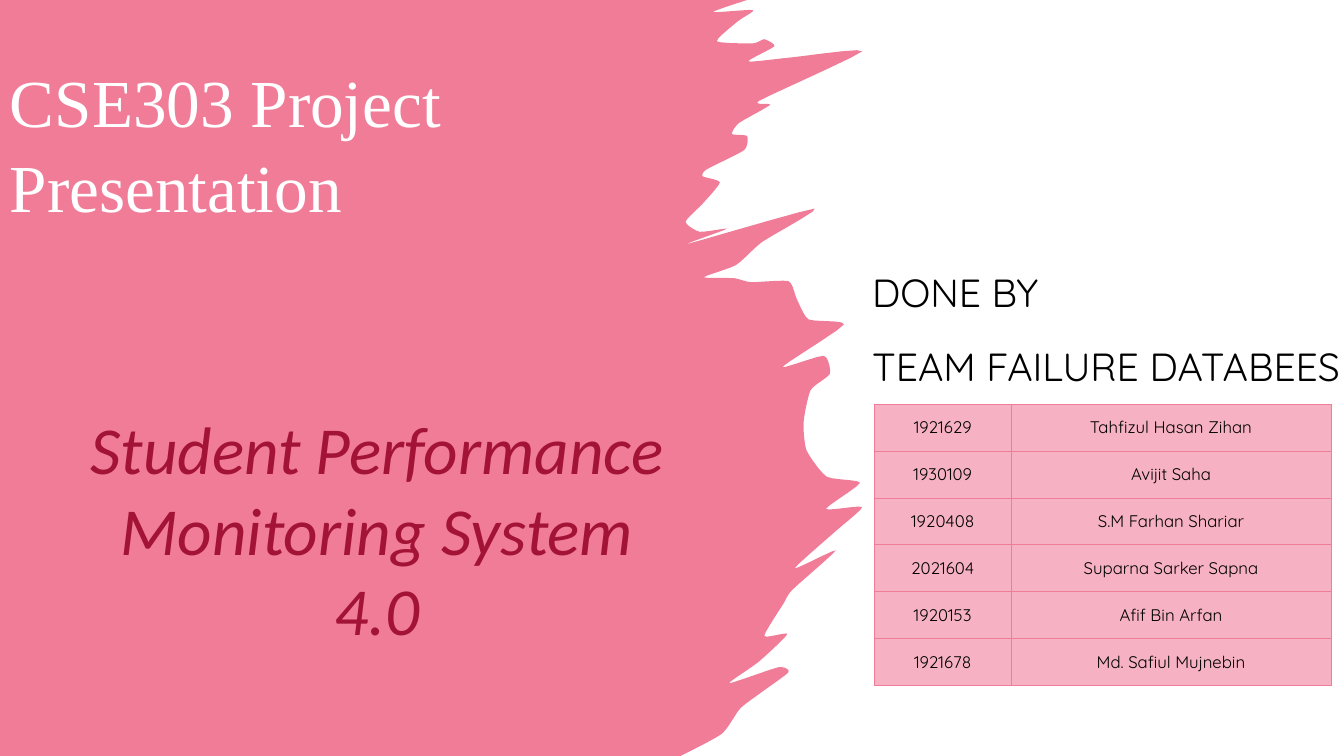
from dataclasses import dataclass
from typing import Any, Iterator

import lxml.etree
import pptx
import pptx.dml.color
import pptx.enum.text
import pptx.oxml.ns
import pptx.util

COLUMNS, ROWS = 1333, 750
WIDTH, HEIGHT = pptx.util.Inches(13.33), pptx.util.Inches(7.5)
PINK, PALE_PINK, CRIMSON, WHITE, BLACK = "F07C98", "F6B2C2", "A31336", "FFFFFF", "000000"
CURVE_STEPS = 5
TENSION = 0.1
LEFT = pptx.enum.text.PP_ALIGN.LEFT
CENTER = pptx.enum.text.PP_ALIGN.CENTER
MIDDLE = pptx.enum.text.MSO_ANCHOR.MIDDLE

BRUSH_EDGE = [
    (741, 0), (707, 12), (747, 10), (732, 21), (711, 41), (747, 43), (758, 39), (768, 46),
    (742, 61), (785, 57), (855, 51), (753, 100), (764, 104), (733, 122), (726, 133),
    (741, 135), (738, 149), (701, 168), (697, 175), (714, 181), (697, 202), (680, 220),
    (694, 230), (721, 227), (682, 242), (808, 207), (756, 240), (730, 263), (698, 275),
    (728, 276), (745, 280), (782, 279), (790, 296), (802, 317), (837, 322), (776, 364),
    (817, 353), (823, 371), (804, 387), (797, 419), (800, 447), (820, 473), (853, 479),
    (819, 505), (855, 503), (830, 526), (788, 564), (829, 546), (786, 585), (777, 599),
    (758, 631), (781, 629), (752, 657), (723, 678), (772, 662), (782, 667), (755, 687),
    (734, 703), (716, 728), (675, 750),
]

MEMBERS = [
    ("1921629", "Tahfizul Hasan Zihan"),
    ("1930109", "Avijit Saha"),
    ("1920408", "S.M Farhan Shariar"),
    ("2021604", "Suparna Sarker Sapna"),
    ("1920153", "Afif Bin Arfan"),
    ("1921678", "Md. Safiul Mujnebin"),
]


@dataclass
class Area:
    left: float
    top: float
    width: float
    height: float

    def lengths(self) -> tuple[int, int, int, int]:
        return column(self.left), row(self.top), column(self.width), row(self.height)


def column(count: float) -> int:
    return round(WIDTH * count / COLUMNS)


def row(count: float) -> int:
    return round(HEIGHT * count / ROWS)


def color(value: str) -> pptx.dml.color.RGBColor:
    return pptx.dml.color.RGBColor.from_string(value)


def place(box: Any, area: Area) -> Any:
    box.left, box.top, box.width, box.height = area.lengths()
    return box


def write(frame: Any, *lines: str, font: str, size: float, hue: str, align: Any = LEFT,
          italic: bool = False, spacing: float = 1.0, gap: float = 0) -> None:
    frame.word_wrap = True
    for index, line in enumerate(lines):
        para = frame.add_paragraph() if index else frame.paragraphs[0]
        para.text = line
        para.alignment = align
        para.line_spacing = spacing
        para.space_before = pptx.util.Pt(gap if index else 0)
        for span in para.runs:
            span.font.name = font
            span.font.size = pptx.util.Pt(size)
            span.font.italic = italic
            span.font.color.rgb = color(hue)


def write_box(box: Any, *lines: str, **format: Any) -> None:
    box.text_frame.auto_size = pptx.enum.text.MSO_AUTO_SIZE.NONE
    box.text_frame.vertical_anchor = MIDDLE
    write(box.text_frame, *lines, **format)


def blend(before: float, start: float, end: float, after: float, t: float) -> float:
    leave = start + TENSION * (end - before)
    arrive = end - TENSION * (after - start)
    u = 1 - t
    return u ** 3 * start + 3 * u * u * t * leave + 3 * u * t * t * arrive + t ** 3 * end


def smooth_edge() -> Iterator[tuple[int, int]]:
    knots = [BRUSH_EDGE[0], *BRUSH_EDGE, BRUSH_EDGE[-1]]
    for span in zip(knots, knots[1:], knots[2:], knots[3:]):
        across, down = zip(*span)
        for step in range(1, CURVE_STEPS + 1):
            t = step / CURVE_STEPS
            yield column(blend(*across, t)), row(blend(*down, t))


def draw_brush(page: Any) -> None:
    builder = page.shapes.build_freeform(0, 0)
    start = (column(BRUSH_EDGE[0][0]), 0)
    builder.add_line_segments([start, *smooth_edge(), (0, HEIGHT)], close=True)
    brush = builder.convert_to_shape()
    brush.shadow.inherit = False
    brush.fill.solid()
    brush.fill.fore_color.rgb = color(PINK)
    brush.line.fill.background()
    page.shapes._spTree.insert(2, brush._element)


def add_borders(cell: Any, hue: str, points: float) -> None:
    properties = cell._tc.get_or_add_tcPr()
    for index, side in enumerate(("a:lnL", "a:lnR", "a:lnT", "a:lnB")):
        line = lxml.etree.Element(pptx.oxml.ns.qn(side), w=str(pptx.util.Pt(points)))
        fill = lxml.etree.SubElement(line, pptx.oxml.ns.qn("a:solidFill"))
        lxml.etree.SubElement(fill, pptx.oxml.ns.qn("a:srgbClr"), val=hue)
        properties.insert(index, line)


def draw_members(page: Any, area: Area, widths: tuple[int, int]) -> None:
    table = page.shapes.add_table(len(MEMBERS), len(widths), *area.lengths()).table
    for table_column, width in zip(table.columns, widths):
        table_column.width = column(width)
    for table_row, member in zip(table.rows, MEMBERS):
        table_row.height = row(area.height / len(MEMBERS))
        for cell, text in zip(table_row.cells, member):
            cell.margin_left = cell.margin_right = column(3)
            cell.margin_top = cell.margin_bottom = row(2)
            cell.vertical_anchor = MIDDLE
            cell.fill.solid()
            cell.fill.fore_color.rgb = color(PALE_PINK)
            add_borders(cell, PINK, 0.5)
            write(cell.text_frame, text, font="Quicksand", size=12, hue=BLACK, align=CENTER)


def main() -> None:
    deck = pptx.Presentation()
    deck.slide_width, deck.slide_height = WIDTH, HEIGHT
    page = deck.slides.add_slide(deck.slide_layouts[0])
    draw_brush(page)
    title = place(page.shapes.title, Area(0, 332, 748, 384))
    write_box(title, "Student Performance Monitoring System\v4.0",
              font="Calibri", size=48, hue=CRIMSON, align=CENTER, italic=True)
    team = place(page.placeholders[1], Area(855, 78, 478, 505))
    team.text_frame.margin_right = 0
    write_box(team, "DONE BY", "TEAM FAILURE DATABEES",
              font="Quicksand", size=28, hue=BLACK, spacing=0.8, gap=26)
    draw_members(page, Area(867, 401, 453, 279), (136, 317))
    course = page.shapes.add_textbox(*Area(0, 21, 612, 238).lengths())
    write_box(course, "CSE303 Project Presentation",
              font="Times New Roman", size=48, hue=WHITE, spacing=1.05)
    deck.save("out.pptx")


if __name__ == "__main__":
    main()
